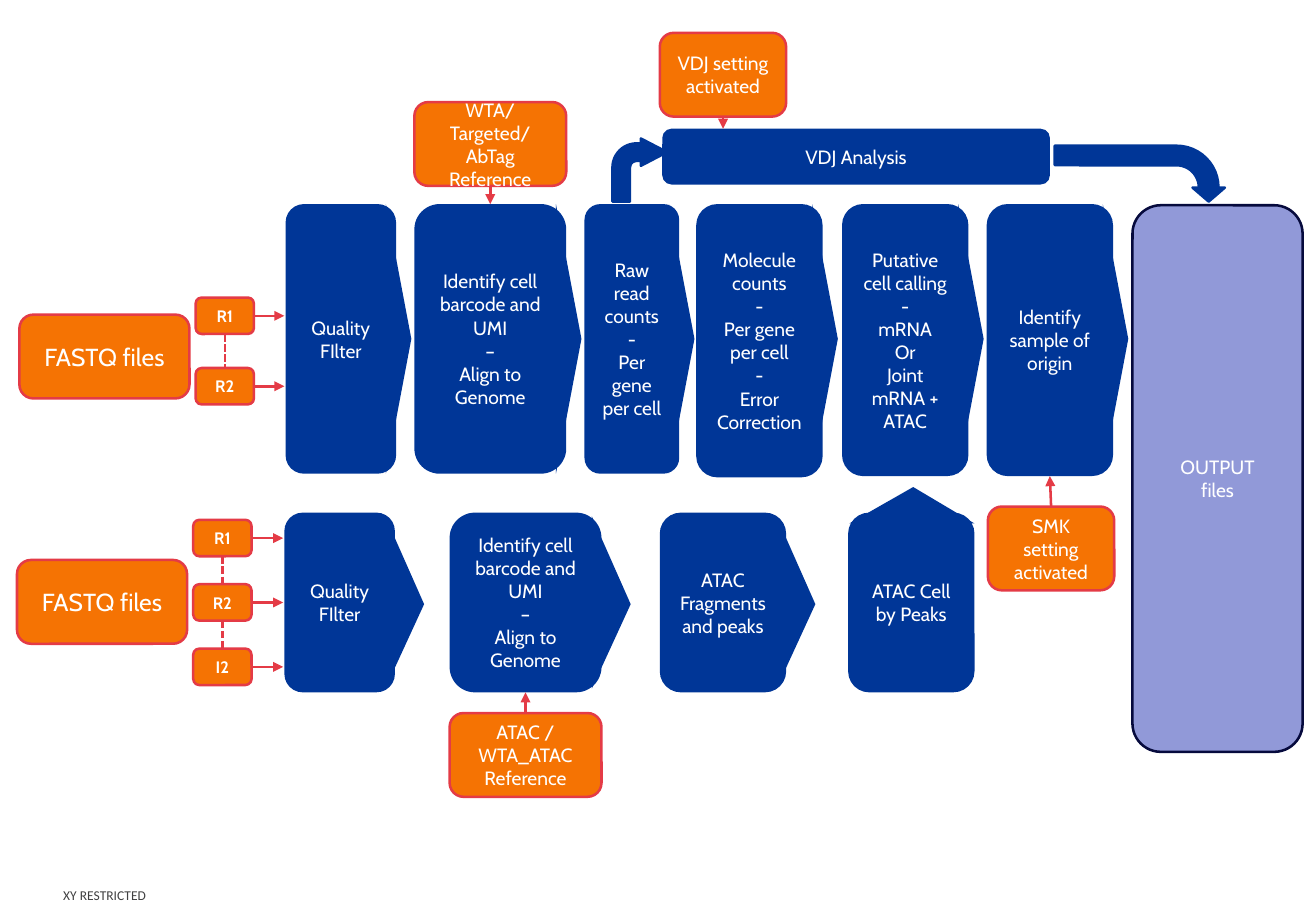
import pptx
import pptx.util
import pptx.dml.color
import pptx.enum.dml
import pptx.enum.shapes
import pptx.enum.text
import pptx.oxml
import pptx.oxml.ns
from pptx.util import Inches

RGBColor = pptx.dml.color.RGBColor
Shape = pptx.enum.shapes.MSO_SHAPE
Align = pptx.enum.text.PP_ALIGN
Anchor = pptx.enum.text.MSO_ANCHOR

NAVY = RGBColor(0x00, 0x36, 0x97)
ORANGE = RGBColor(0xF5, 0x73, 0x03)
RED = RGBColor(0xE4, 0x3B, 0x46)
LILAC = RGBColor(0x91, 0x99, 0xD8)
INK = RGBColor(0x06, 0x0A, 0x3D)
GREY = RGBColor(0x40, 0x40, 0x41)
WHITE = RGBColor(0xFF, 0xFF, 0xFF)

TOP, LEFT, BOTTOM, RIGHT = range(4)
BODY = {"name": "Cabin", "size": pptx.util.Pt(11.4)}
FILES = {"name": "Cabin", "size": pptx.util.Pt(14.6)}
READ = {"name": "Cabin", "size": pptx.util.Pt(9.8), "bold": True}
FOOTER = {"name": "Calibri", "size": pptx.util.Pt(8)}


class FlowSlide:
    line_width = pptx.util.Pt(1.5)

    def __init__(self, slide):
        self.shapes = slide.shapes

    def set_text(self, shape, paragraphs, font, color, alignment):
        frame = shape.text_frame
        frame.word_wrap = True
        frame.vertical_anchor = Anchor.MIDDLE
        for index, text in enumerate(paragraphs):
            paragraph = frame.paragraphs[0] if index == 0 else frame.add_paragraph()
            paragraph.alignment = alignment
            run = paragraph.add_run()
            run.text = text
            run.font.color.rgb = color
            for name, value in font.items():
                setattr(run.font, name, value)

    def shape(self, kind, frame, fill, outline=None, adjustments=(), rotation=0):
        shape = self.shapes.add_shape(kind, *map(Inches, frame))
        shape.shadow.inherit = False
        shape.rotation = rotation
        shape.fill.solid()
        shape.fill.fore_color.rgb = fill
        if outline is None:
            shape.line.fill.background()
        else:
            shape.line.color.rgb = outline
            shape.line.width = self.line_width
        for index, value in enumerate(adjustments):
            shape.adjustments[index] = value
        return shape

    def box(self, frame, *paragraphs, fill=NAVY, outline=None, font=BODY):
        shape = self.shape(Shape.ROUNDED_RECTANGLE, frame, fill, outline)
        self.set_text(shape, paragraphs, font, WHITE, Align.CENTER)
        return shape

    def input_box(self, frame, text, font=BODY):
        return self.box(frame, text, fill=ORANGE, outline=RED, font=font)

    def pointer(self, center_x, center_y, length, depth, adjustments=()):
        frame = (center_x - length / 2, center_y - depth / 2, length, depth)
        self.shape(Shape.ISOSCELES_TRIANGLE, frame, NAVY, None, adjustments, 90)

    def connect(self, start, start_site, end, end_site=None, dashed=False):
        points = (0, 0, 0, 0) if end_site is not None else (0, 0, *map(Inches, end))
        connector = self.shapes.add_connector(
            pptx.enum.shapes.MSO_CONNECTOR.STRAIGHT, *points)
        connector.begin_connect(start, start_site)
        if end_site is not None:
            connector.end_connect(end, end_site)
        connector.line.color.rgb = RED
        connector.line.width = self.line_width
        if dashed:
            connector.line.dash_style = pptx.enum.dml.MSO_LINE.SQUARE_DOT
        else:
            line = connector.line._get_or_add_ln()
            line.append(pptx.oxml.parse_xml(
                f'<a:tailEnd {pptx.oxml.ns.nsdecls("a")} type="triangle"/>'))
        connector._element.spPr.append(pptx.oxml.parse_xml(
            f'<a:effectLst {pptx.oxml.ns.nsdecls("a")}/>'))

    def label(self, frame, text, font, color):
        text_box = self.shapes.add_textbox(*map(Inches, frame))
        for side in ("left", "top", "right", "bottom"):
            setattr(text_box.text_frame, f"margin_{side}", 0)
        self.set_text(text_box, [text], font, color, Align.LEFT)


def main():
    presentation = pptx.Presentation()
    presentation.slide_width = Inches(10.83)
    presentation.slide_height = Inches(7.5)
    flow = FlowSlide(presentation.slides.add_slide(presentation.slide_layouts[6]))

    flow.label((0.52, 7.29, 2, 0.15), "XY RESTRICTED", FOOTER, GREY)

    align_steps = ("Identify cell barcode and UMI", "–", "Align to Genome")
    upper_steps = [
        (2.35, 0.91, 2.22, ["Quality FIlter"]),
        (3.41, 1.25, 2.22, align_steps),
        (4.81, 0.78, 2.22, ["Raw read counts", "-", "Per gene per cell"]),
        (5.73, 1.04, 2.25, ["Molecule counts", "-", "Per gene per cell", "-",
                            "Error Correction"]),
        (6.93, 1.04, 2.24, ["Putative cell calling", "-", "mRNA", "Or",
                            "Joint mRNA + ATAC"]),
        (8.12, 1.04, 2.24, ["Identify sample of origin"]),
    ]
    lower_steps = [
        (2.34, 0.91, ["Quality FIlter"]),
        (3.7, 1.25, align_steps),
        (5.43, 1.04, ["ATAC Fragments and peaks"]),
        (6.98, 1.04, ["ATAC Cell by Peaks"]),
    ]
    upper = [flow.box((left, 1.68, width, height), *text)
             for left, width, height, text in upper_steps]
    lower = [flow.box((left, 4.22, width, 1.48), *text)
             for left, width, text in lower_steps]
    flow.box((9.32, 1.69, 1.4, 4.5), "OUTPUT", "files", fill=LILAC, outline=INK)
    flow.shape(Shape.BENT_ARROW, (5.04, 1.14, 0.45, 0.52), NAVY, NAVY,
               (0.32, 0.25, 0.48, 0.44))
    flow.box((5.45, 1.06, 3.19, 0.46), "VDJ Analysis")

    read_groups = [
        (0.16, 2.59, 1.61, 2.45, 0.58, 2.34, ["R1", "R2"]),
        (0.14, 4.61, 1.59, 4.28, 0.53, 2.33, ["R1", "R2", "I2"]),
    ]
    for files_left, files_top, left, top, step, target, names in read_groups:
        flow.input_box((files_left, files_top, 1.4, 0.69), "FASTQ files", FILES)
        reads = [flow.input_box((left, top + step * index, 0.48, 0.3), name, READ)
                 for index, name in enumerate(names)]
        for first, second in zip(reads, reads[1:]):
            flow.connect(first, BOTTOM, second, TOP, dashed=True)
        for index, read in enumerate(reads):
            flow.connect(read, RIGHT, (target, top + step * index + 0.15))

    settings = [
        (3.41, 0.84, 1.25, "WTA/Targeted/ AbTag Reference", BOTTOM, upper[1], TOP),
        (5.43, 0.27, 1.04, "VDJ setting activated", BOTTOM, (5.95, 1.06), None),
        (3.7, 5.87, 1.25, "ATAC / WTA_ATAC Reference", TOP, lower[1], BOTTOM),
        (8.13, 4.17, 1.04, "SMK setting activated", TOP, upper[5], BOTTOM),
    ]
    for left, top, width, text, site, end, end_site in settings:
        setting = flow.input_box((left, top, width, 0.69), text)
        flow.connect(setting, site, end, end_site)

    flow.shape(Shape.BENT_ARROW, (9.15, 0.73, 0.46, 1.4), NAVY, NAVY,
               (0.35, 0.29, 0.25, 0.75), 90)
    for left, width, _, _ in upper_steps:
        flow.pointer(left + width + 0.02, 2.79, 2.22, 0.21)
    for left, width, _ in lower_steps[:-1]:
        flow.pointer(left + width + 0.08, 4.96, 1.42, 0.32, [0.51])
    flow.shape(Shape.ISOSCELES_TRIANGLE, (6.99, 4.01, 1.03, 0.3), NAVY,
               adjustments=[0.51])

    presentation.save("out.pptx")


if __name__ == "__main__":
    main()
